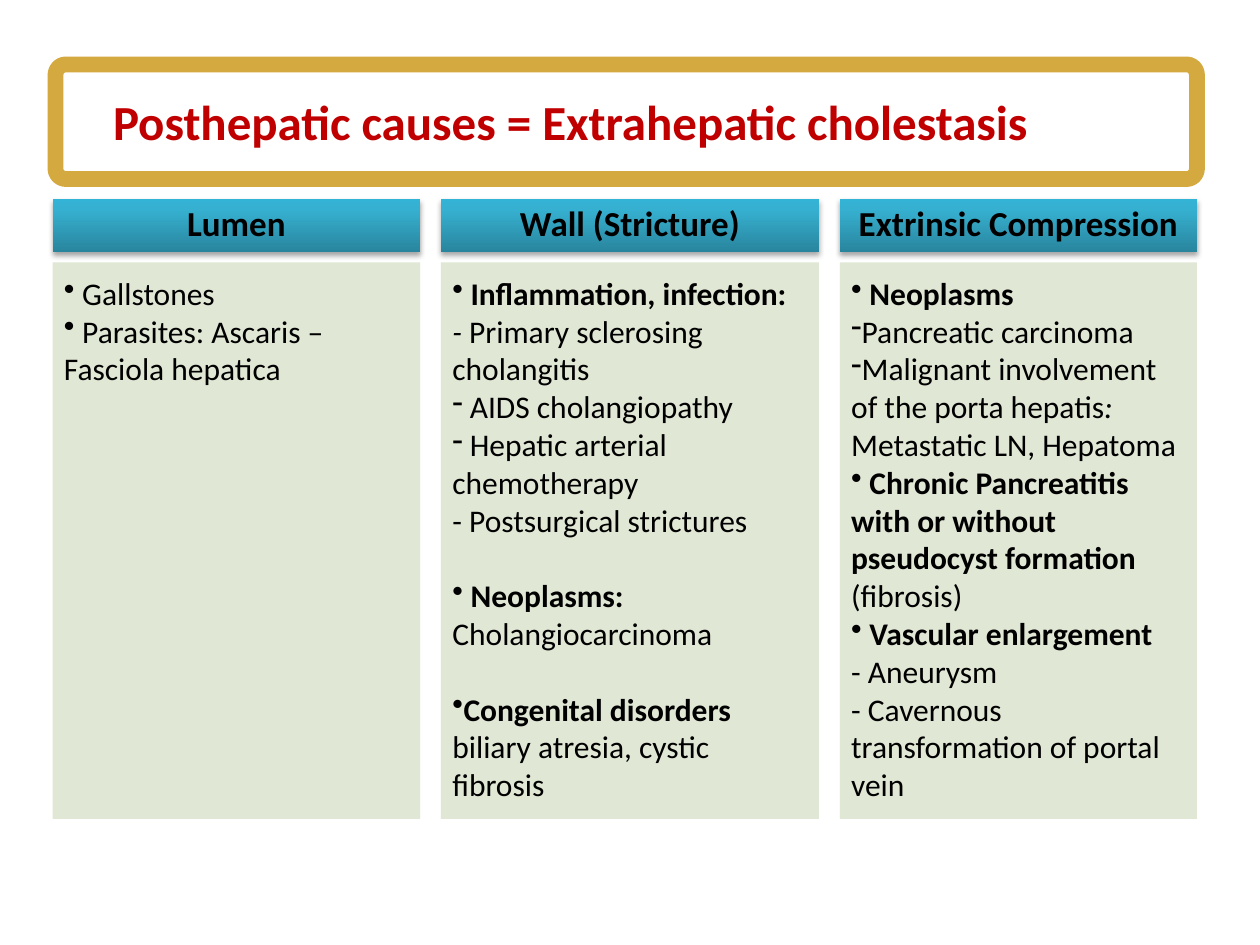
from copy import deepcopy
from dataclasses import dataclass

from lxml.etree import SubElement
from pptx import Presentation
from pptx.dml.color import RGBColor
from pptx.enum.shapes import MSO_SHAPE as Preset
from pptx.enum.text import MSO_ANCHOR as Anchor, PP_ALIGN as Align
from pptx.oxml.ns import qn
from pptx.shapes.autoshape import Shape
from pptx.slide import Slide
from pptx.util import Cm, Pt

COLORS = {
    "frame": "D4A940",
    "title": "C00000",
    "panel": "DDE5D0",
    "text": "000000",
    "white": "FFFFFF",
}
HEADER_STOPS = ((0, "29859E"), (0.8, "36B0D0"), (1, "33B3D5"))
FONT = "Calibri"
LEFT, GAP = 1.06, 0.42
HEADER_TOP, HEADER_HEIGHT = 4.01, 1.07
PANEL_TOP, PANEL_HEIGHT = 5.29, 11.22
BLANK_LINE = 21.6


@dataclass
class Span:
    text: str
    bold: bool = False
    italic: bool = False


@dataclass
class Item:
    spans: list[Span]
    bullet: str = ""
    space_before: float = 0


@dataclass
class Column:
    heading: str
    width: float
    items: list[Item]


COLUMNS = [
    Column("Lumen", 7.41, [
        Item([Span(" Gallstones")], "•"),
        Item([Span(" Parasites: Ascaris – Fasciola hepatica")], "•"),
    ]),
    Column("Wall (Stricture)", 7.62, [
        Item([Span(" Inflammation, infection:", bold=True)], "•"),
        Item([Span("- ", italic=True), Span("Primary sclerosing cholangitis")]),
        Item([Span(" AIDS cholangiopathy")], "-"),
        Item([Span(" Hepatic arterial chemotherapy")], "-"),
        Item([Span("- Postsurgical strictures")]),
        Item([Span(" "), Span("Neoplasms:", bold=True)], "•", BLANK_LINE),
        Item([Span("Cholangiocarcinoma")]),
        Item([Span("Congenital disorders ", bold=True),
              Span("biliary atresia, cystic fibrosis")], "•", BLANK_LINE),
    ]),
    Column("Extrinsic Compression", 7.2, [
        Item([Span(" Neoplasms", bold=True)], "•"),
        Item([Span("Pancreatic carcinoma")], "-"),
        Item([Span("Malignant involvement of the porta hepatis"),
              Span(": ", italic=True), Span("Metastatic LN, Hepatoma")], "-"),
        Item([Span(" Chronic Pancreatitis with or without pseudocyst formation ", bold=True),
              Span("(fibrosis)")], "•"),
        Item([Span(" Vascular enlargement", bold=True)], "•"),
        Item([Span("- Aneurysm")]),
        Item([Span("- Cavernous transformation of portal vein")]),
    ]),
]


def format_run(run, size: float, color: str, bold: bool = False, italic: bool = False) -> None:
    run.font.name = FONT
    run.font.size = Pt(size)
    run.font.bold = bold
    run.font.italic = italic
    run.font.color.rgb = RGBColor.from_string(COLORS[color])


def add_box(slide: Slide, preset: Preset, left: float, top: float,
            width: float, height: float) -> Shape:
    shape = slide.shapes.add_shape(preset, Cm(left), Cm(top), Cm(width), Cm(height))
    shape.line.fill.background()
    shape.shadow.inherit = False
    return shape


def set_margins(shape: Shape, left: float, top: float, right: float, bottom: float) -> None:
    frame = shape.text_frame
    frame.word_wrap = True
    frame.margin_left, frame.margin_top = Cm(left), Cm(top)
    frame.margin_right, frame.margin_bottom = Cm(right), Cm(bottom)


def fill_header(shape: Shape) -> None:
    shape.fill.gradient()
    shape.fill.gradient_angle = 90
    stop_list = next(shape._element.spPr.iter(qn("a:gsLst")))
    stop_list.append(deepcopy(stop_list[0]))
    for stop, (position, color) in zip(shape.fill.gradient_stops, HEADER_STOPS):
        stop.position = position
        stop.color.rgb = RGBColor.from_string(color)


def add_shadow(shape: Shape) -> None:
    effects = shape._element.spPr.find(qn("a:effectLst"))
    shadow = SubElement(effects, qn("a:outerShdw"), blurRad=str(Pt(3.1)),
                        dist=str(Pt(1.8)), dir="5400000", rotWithShape="0")
    color = SubElement(shadow, qn("a:srgbClr"), val=COLORS["text"])
    SubElement(color, qn("a:alpha"), val="35000")


def add_header(slide: Slide, column: Column, left: float) -> None:
    shape = add_box(slide, Preset.RECTANGLE, left, HEADER_TOP, column.width, HEADER_HEIGHT)
    fill_header(shape)
    add_shadow(shape)
    set_margins(shape, 0.3, 0.18, 0.3, 0.18)
    shape.text_frame.vertical_anchor = Anchor.MIDDLE
    shape.text_frame.text = column.heading
    paragraph = shape.text_frame.paragraphs[0]
    paragraph.alignment = Align.CENTER
    paragraph.line_spacing = 0.9
    format_run(paragraph.runs[0], 20, "text", bold=True)


def write_item(paragraph, item: Item) -> None:
    paragraph.alignment = Align.LEFT
    paragraph.space_before = Pt(item.space_before)
    if item.bullet:
        properties = paragraph._p.get_or_add_pPr()
        properties.set("marL", "0")
        properties.set("indent", str(Cm(-0.3)))
        SubElement(properties, qn("a:buChar"), char=item.bullet)
    for span in item.spans:
        run = paragraph.add_run()
        run.text = span.text
        format_run(run, 18, "text", span.bold, span.italic)


def add_panel(slide: Slide, column: Column, left: float) -> None:
    shape = add_box(slide, Preset.RECTANGLE, left, PANEL_TOP, column.width, PANEL_HEIGHT)
    shape.fill.solid()
    shape.fill.fore_color.rgb = RGBColor.from_string(COLORS["panel"])
    color = next(shape._element.spPr.iter(qn("a:srgbClr")))
    SubElement(color, qn("a:alpha"), val="90000")
    set_margins(shape, 0.23, 0.23, 0.3, 0.33)
    frame = shape.text_frame
    frame.vertical_anchor = Anchor.TOP
    for index, item in enumerate(column.items):
        write_item(frame.add_paragraph() if index else frame.paragraphs[0], item)


def add_title(slide: Slide) -> None:
    title = slide.shapes.title
    title.left, title.top, title.width, title.height = Cm(1.12), Cm(1.68), Cm(20.75), Cm(1.52)
    title.text_frame.text = "Posthepatic causes = Extrahepatic cholestasis"
    title.text_frame.vertical_anchor = Anchor.MIDDLE
    paragraph = title.text_frame.paragraphs[0]
    paragraph.alignment = Align.CENTER
    format_run(paragraph.runs[0], 28, "title", bold=True)

    frame = add_box(slide, Preset.ROUNDED_RECTANGLE, 1.12, 1.3, 23.01, 2.31)
    frame.adjustments[0] = 0.09
    frame.fill.solid()
    frame.fill.fore_color.rgb = RGBColor.from_string(COLORS["white"])
    frame.line.color.rgb = RGBColor.from_string(COLORS["frame"])
    frame.line.width = Pt(9)
    title._element.addprevious(frame._element)


def main() -> None:
    presentation = Presentation()
    presentation.slide_width, presentation.slide_height = Cm(25.4), Cm(19.05)
    slide = presentation.slides.add_slide(presentation.slide_layouts[5])
    add_title(slide)
    left = LEFT
    for column in COLUMNS:
        add_header(slide, column, left)
        add_panel(slide, column, left)
        left += column.width + GAP
    presentation.save("out.pptx")


if __name__ == "__main__":
    main()
